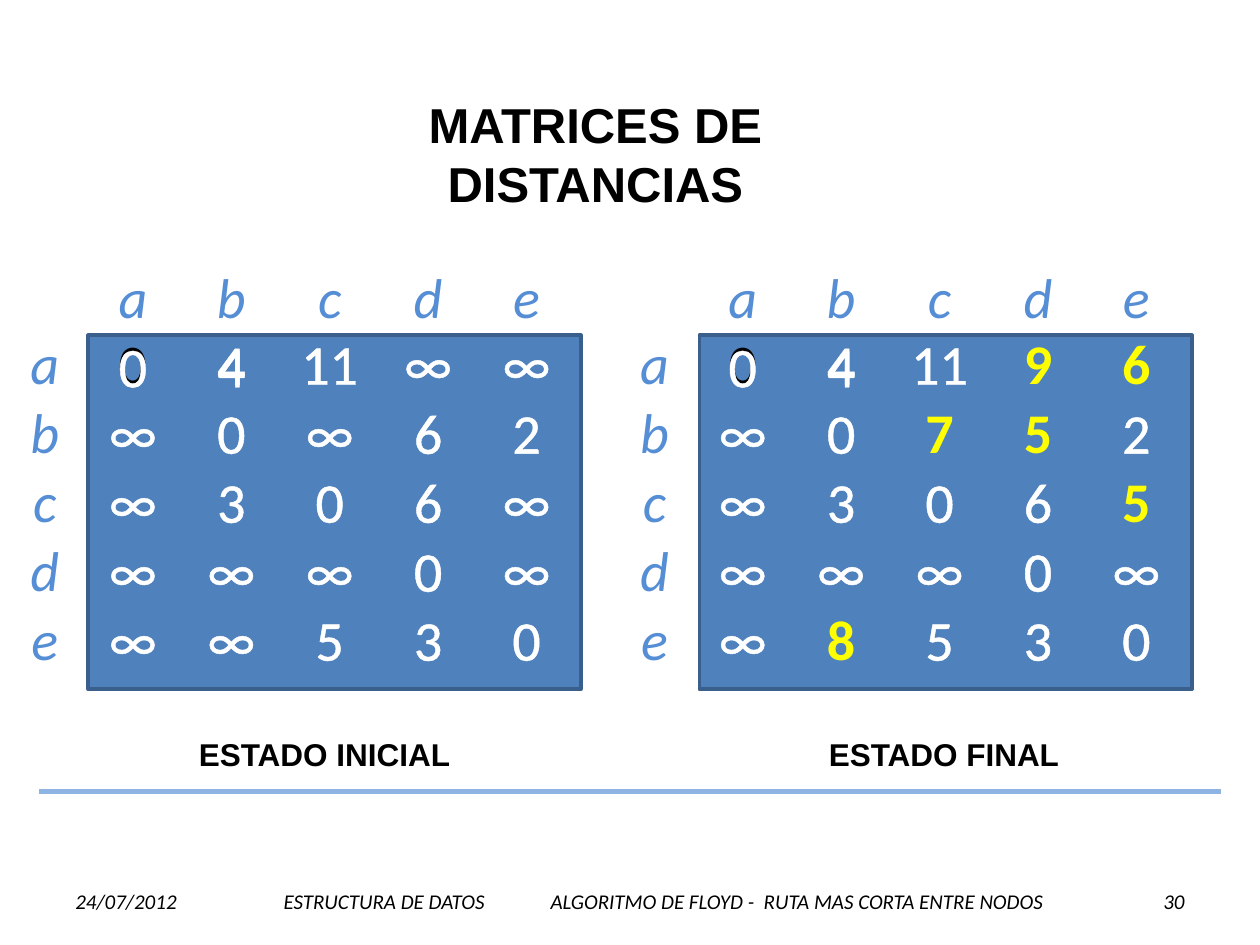
from dataclasses import dataclass

from lxml.etree import SubElement
from pptx import Presentation
from pptx.dml.color import RGBColor
from pptx.enum.shapes import MSO_CONNECTOR, MSO_SHAPE
from pptx.enum.text import MSO_ANCHOR, MSO_AUTO_SIZE, PP_ALIGN
from pptx.oxml.ns import qn
from pptx.util import Inches, Pt


@dataclass(frozen=True)
class Theme:
    ink: str = "000000"
    value: str = "FFFFFF"
    improved: str = "FFFF00"
    node: str = "558ED5"
    panel: str = "4F81BD"
    border: str = "3A5F8C"
    rule: str = "8EB4E3"
    heading_font: str = "Arial"
    body_font: str = "Calibri"
    title_size: int = 28
    cell_size: int = 32
    caption_size: int = 18
    footer_size: int = 12


THEME = Theme()
WIDTH, HEIGHT = Inches(10), Inches(7.5)
NODES = "abcde"
INITIAL = ["0 4 11 ∞ ∞", "∞ 0 ∞ 6 2", "∞ 3 0 6 ∞", "∞ ∞ ∞ 0 ∞", "∞ ∞ 5 3 0"]
FINAL = ["0 4 11 9 6", "∞ 0 7 5 2", "∞ 3 0 6 5", "∞ ∞ ∞ 0 ∞", "∞ 8 5 3 0"]
COLUMN_STEP, ROW_STEP = 7.81, 7.3
CELL_WIDTH, CELL_HEIGHT = 11.7, 8.53
FIRST_ROW, HEADER_ROW = 34.13, 27.07
LABEL_OFFSET = -7
OVERLAY_SHIFT = 0.27


def across(percent):
    return round(WIDTH * percent / 100)


def down(percent):
    return round(HEIGHT * percent / 100)


def frame(left, top, width, height):
    return across(left), down(top), across(width), down(height)


def add_span(para, text, size, color, font=THEME.body_font, bold=False, italic=False, outline=None):
    span = para.add_run()
    span.text = text
    span.font.size = Pt(size)
    span.font.name = font
    span.font.bold = bold
    span.font.italic = italic
    span.font.color.rgb = RGBColor.from_string(color)
    if outline:
        properties = span.font.fill._xPr
        line = SubElement(properties, qn("a:ln"), w=str(Pt(1.45)))
        fill = SubElement(line, qn("a:solidFill"))
        SubElement(fill, qn("a:srgbClr"), val=outline)
        properties.insert(0, line)


def add_text(page, area, text, align=PP_ALIGN.CENTER, grow=True, **style):
    box = page.shapes.add_textbox(*area)
    text_frame = box.text_frame
    text_frame.word_wrap = True
    if grow:
        text_frame.auto_size = MSO_AUTO_SIZE.SHAPE_TO_FIT_TEXT
    else:
        text_frame.vertical_anchor = MSO_ANCHOR.MIDDLE
    para = text_frame.paragraphs[0]
    para.alignment = align
    add_span(para, text, **style)
    return box


def add_title(page, text):
    title = page.shapes.title
    title.left, title.top, title.width, title.height = frame(24.2, 9.33, 46.1, 13.87)
    title.text_frame.word_wrap = True
    title.text_frame.auto_size = MSO_AUTO_SIZE.SHAPE_TO_FIT_TEXT
    title.text_frame.vertical_anchor = MSO_ANCHOR.TOP
    para = title.text_frame.paragraphs[0]
    para.alignment = PP_ALIGN.CENTER
    add_span(para, text, THEME.title_size, THEME.ink, THEME.heading_font, bold=True)


def add_rule(page):
    rule = page.shapes.add_connector(
        MSO_CONNECTOR.STRAIGHT, across(3.1), down(83.73), across(96.9), down(83.73))
    rule.line.color.rgb = RGBColor.from_string(THEME.rule)
    rule.line.width = Pt(3)
    SubElement(rule._element.spPr, qn("a:effectLst"))


def add_panel(page, left):
    panel = page.shapes.add_shape(MSO_SHAPE.RECTANGLE, *frame(left, 35.47, 39.1, 37.47))
    panel.shadow.inherit = False
    panel.fill.solid()
    panel.fill.fore_color.rgb = RGBColor.from_string(THEME.panel)
    panel.line.color.rgb = RGBColor.from_string(THEME.border)
    panel.line.width = Pt(2)


def add_cell(page, left, top, text, color, **style):
    area = frame(left, top, CELL_WIDTH, CELL_HEIGHT)
    add_text(page, area, text, size=THEME.cell_size, color=color, **style)


def add_value(page, left, top, text, improved=False):
    color = THEME.improved if improved else THEME.value
    add_cell(page, left, top, text, color, bold=improved, outline=THEME.value)


def add_matrix(page, panel_left, left, rows):
    add_panel(page, panel_left)
    for row, (values, before) in enumerate(zip(rows, INITIAL)):
        top = FIRST_ROW + row * ROW_STEP
        for column, (value, old) in enumerate(zip(values.split(), before.split())):
            cell_left = left + column * COLUMN_STEP
            if row == column == 0:
                add_cell(page, cell_left, top, value, THEME.ink)
            else:
                add_value(page, cell_left, top, value, value != old)
    for index, node in enumerate(NODES):
        add_cell(page, left + index * COLUMN_STEP, HEADER_ROW, node, THEME.node, italic=True)
        add_cell(page, left + LABEL_OFFSET, FIRST_ROW + index * ROW_STEP, node,
                 THEME.node, italic=True)
    for column, value in enumerate(rows[0].split()[:2]):
        add_value(page, left + column * COLUMN_STEP, FIRST_ROW + OVERLAY_SHIFT, value)


def add_caption(page, left, text):
    add_text(page, frame(left, 77.07, 22.7, 5.33), text, align=PP_ALIGN.LEFT,
             size=THEME.caption_size, color=THEME.ink, font=THEME.heading_font, bold=True)


def add_footer(page, left, width, text, align=PP_ALIGN.LEFT):
    return add_text(page, frame(left, 92.67, width, 5.33), text, align=align, grow=False,
                    size=THEME.footer_size, color=THEME.ink, italic=True)


def add_course_footer(page):
    box = add_footer(page, 18, 69.5,
                     "ESTRUCTURA DE DATOS\tALGORITMO DE FLOYD -  RUTA MAS CORTA ENTRE NODOS")
    box.text_frame.margin_left = across(4.5)
    properties = box.text_frame.paragraphs[0]._p.get_or_add_pPr()
    tabs = SubElement(properties, qn("a:tabLst"))
    SubElement(tabs, qn("a:tab"), pos=str(across(21.2)), algn="l")


def main():
    deck = Presentation()
    deck.slide_width, deck.slide_height = WIDTH, HEIGHT
    page = deck.slides.add_slide(deck.slide_layouts[5])
    add_rule(page)
    add_matrix(page, 7, 4.7, INITIAL)
    add_matrix(page, 55.5, 53.1, FINAL)
    add_title(page, "MATRICES DE DISTANCIAS")
    add_footer(page, 5, 11.4, "24/07/2012")
    add_footer(page, 88.3, 6.7, "30", PP_ALIGN.RIGHT)
    add_course_footer(page)
    add_caption(page, 14.8, "ESTADO INICIAL")
    add_caption(page, 64.8, "ESTADO FINAL")
    deck.save("out.pptx")


main()
